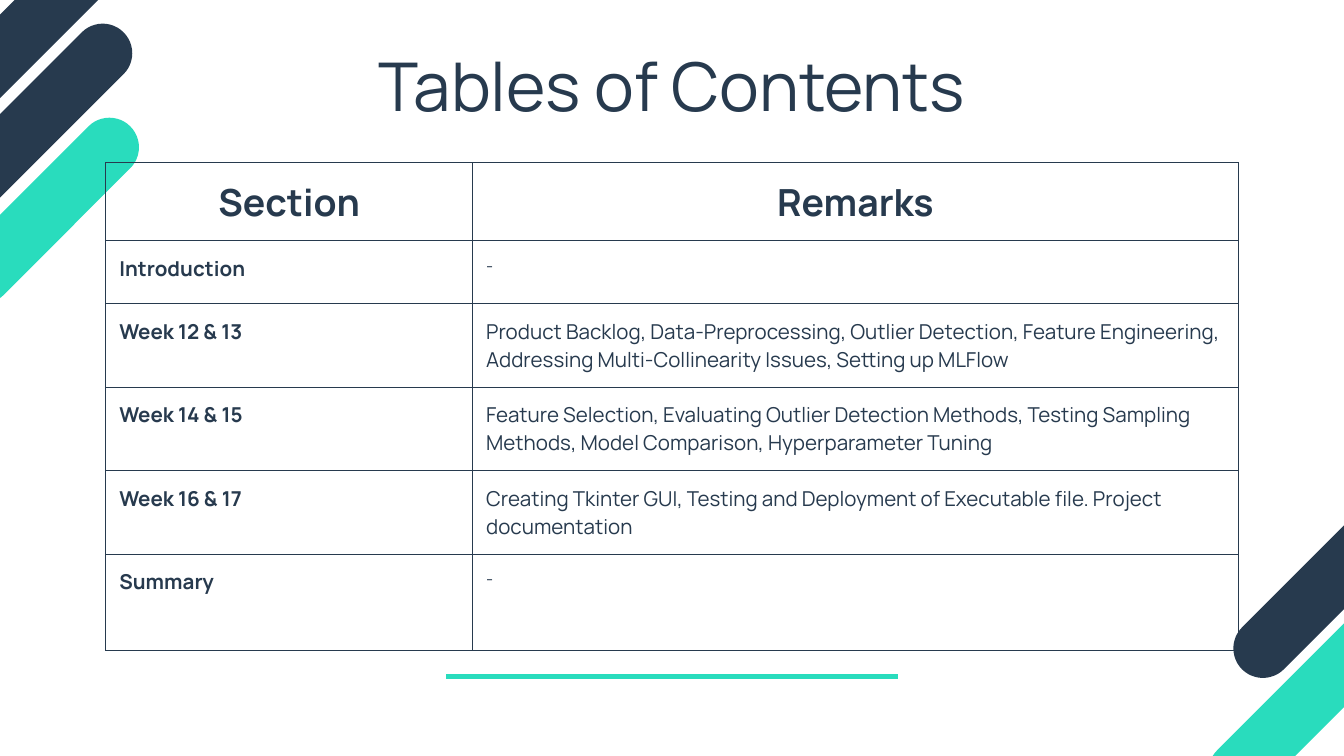
from lxml.etree import SubElement
from pptx import Presentation
from pptx.dml.color import RGBColor
from pptx.enum.shapes import MSO_CONNECTOR, MSO_SHAPE
from pptx.enum.text import MSO_ANCHOR, MSO_AUTO_SIZE, PP_ALIGN
from pptx.oxml.ns import qn
from pptx.util import Pt

FONT = "Manrope"
NAVY = "273A4E"
TEAL = "29DCBD"
INSET = 7.2
THICK = 31.7

ROWS = [
    ("Section", "Remarks"),
    ("Introduction", "-"),
    ("Week 12 & 13", "Product Backlog, Data-Preprocessing, Outlier Detection, "
     "Feature Engineering, Addressing Multi-Collinearity Issues, Setting up MLFlow"),
    ("Week 14 & 15", "Feature Selection, Evaluating Outlier Detection Methods, "
     "Testing Sampling Methods, Model Comparison, Hyperparameter Tuning"),
    ("Week 16 & 17", "Creating Tkinter GUI, Testing and Deployment of Executable file. "
     "Project documentation"),
    ("Summary", "-"),
]
HEIGHTS = [30.2, 33.8, 40.3, 33.8, 43.2, 51.8]
SHARES = [0.324, 0.676]


def color(code):
    return RGBColor.from_string(code)


def style(para, size, bold=False, align=PP_ALIGN.LEFT):
    para.alignment = align
    font = para.font
    font.name, font.size, font.bold = FONT, Pt(size), bold
    font.color.rgb = color(NAVY)


def add_bars(slide, box, bars):
    left, top = box
    for x, y, length, fill in bars:
        bar = slide.shapes.add_shape(
            MSO_SHAPE.ROUNDED_RECTANGLE,
            Pt(left + x), Pt(top + y), Pt(length), Pt(THICK))
        bar.adjustments[0] = 0.5
        bar.rotation = 315
        bar.shadow.inherit = False
        bar.fill.solid()
        bar.fill.fore_color.rgb = color(fill)
        bar.line.fill.background()


def add_rule(slide, box):
    left, top, width = box
    rule = slide.shapes.add_connector(
        MSO_CONNECTOR.STRAIGHT, Pt(left), Pt(top), Pt(left + width), Pt(top))
    rule.line.color.rgb = color(TEAL)
    rule.line.width = Pt(3)
    SubElement(rule._element.spPr, qn("a:effectLst"))


def add_title(slide, box, text):
    title = slide.shapes.title
    title.left, title.top, title.width, title.height = map(Pt, box)
    frame = title.text_frame
    frame.text = text
    frame.word_wrap = True
    frame.auto_size = MSO_AUTO_SIZE.NONE
    frame.vertical_anchor = MSO_ANCHOR.MIDDLE
    frame.margin_left = frame.margin_right = Pt(INSET)
    frame.margin_top = frame.margin_bottom = Pt(INSET)
    para = frame.paragraphs[0]
    style(para, 36, align=PP_ALIGN.CENTER)
    para.line_spacing = 0.9


def add_border(cell):
    props = cell._tc.get_or_add_tcPr()
    for side in ("lnL", "lnR", "lnT", "lnB"):
        line = SubElement(props, qn(f"a:{side}"), w=str(Pt(0.75)))
        fill = SubElement(line, qn("a:solidFill"))
        SubElement(fill, qn("a:srgbClr"), val=NAVY)


def fill_cell(cell, text, row, col):
    add_border(cell)
    cell.fill.background()
    cell.margin_left = cell.margin_right = Pt(INSET)
    cell.margin_top = cell.margin_bottom = Pt(INSET)
    cell.text = text
    para = cell.text_frame.paragraphs[0]
    if row == 0:
        style(para, 20, True, PP_ALIGN.CENTER)
    else:
        style(para, 9 if text == "-" else 11, col == 0)


def add_grid(slide, box):
    left, top, width = box
    table = slide.shapes.add_table(
        len(ROWS), len(SHARES), Pt(left), Pt(top), Pt(width), Pt(sum(HEIGHTS))).table
    table.first_row = table.horz_banding = False
    for column, share in zip(table.columns, SHARES):
        column.width = Pt(width * share)
    for row, (texts, height) in enumerate(zip(ROWS, HEIGHTS)):
        table.rows[row].height = Pt(height)
        for col, text in enumerate(texts):
            fill_cell(table.cell(row, col), text, row, col)


def main():
    deck = Presentation()
    deck.slide_width, deck.slide_height = Pt(720), Pt(405)
    slide = deck.slides.add_slide(deck.slide_layouts[5])
    add_rule(slide, (239, 362.4, 242))
    add_bars(slide, (-43.2, -7.9), [
        (1.4, 0, 128.2, NAVY), (0, 54.7, 128.2, NAVY), (3.6, 105.1, 128.2, TEAL)])
    add_bars(slide, (625, 297.4), [
        (21.6, 0, 128.2, NAVY), (0, 46.1, 184.3, TEAL)])
    add_title(slide, (56.7, 21.8, 606.6, 52.6), "Tables of Contents")
    add_grid(slide, (56.7, 87.2, 606.6))
    deck.save("out.pptx")


if __name__ == "__main__":
    main()
